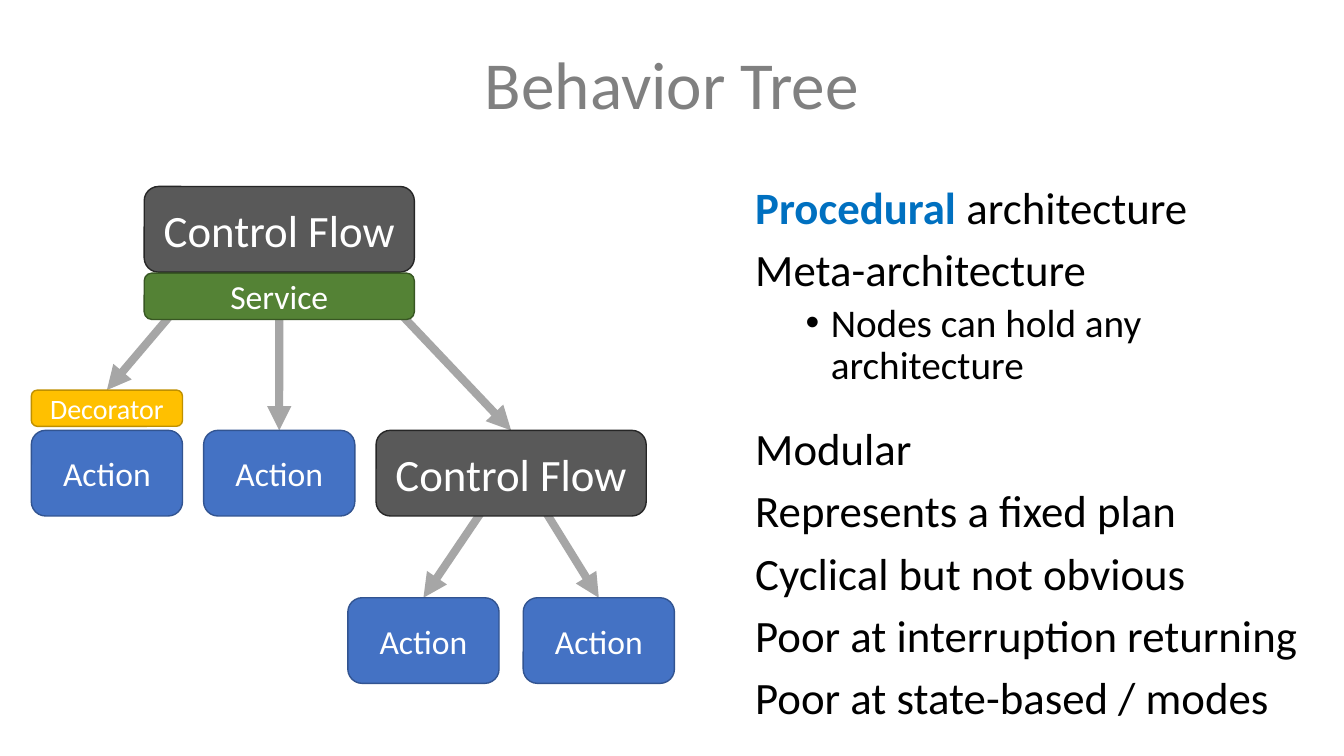
"""Build the Behavior Tree slide."""
import dataclasses

import lxml.etree
import pptx
import pptx.dml.color
import pptx.enum.shapes
import pptx.enum.text
import pptx.oxml.ns
import pptx.util

WIDE = pptx.util.Inches(13.33)
HIGH = pptx.util.Inches(7.5)
FACE = "Calibri"


@dataclasses.dataclass(frozen=True)
class Style:
    """Colours, text size and share of the slide for a kind of node."""
    fill: str
    edge: str
    size: int
    wide: float
    high: float


@dataclasses.dataclass(frozen=True)
class Node:
    """A labelled box placed in percent of the slide."""
    text: str
    style: Style
    left: float
    top: float

    @property
    def head(self) -> tuple[float, float]:
        """Return the middle of the top edge."""
        return self.left + self.style.wide / 2, self.top


@dataclasses.dataclass(frozen=True)
class Arrow:
    """A link from a point to the top of a node."""
    start: tuple[float, float]
    end: Node


@dataclasses.dataclass(frozen=True)
class Item:
    """A line of the list, with an optional bold lead."""
    text: str
    lead: str = ""
    level: int = 0
    size: int = 32
    gap: float = 10


FLOW = Style("595959", "262626", 32, 20.1, 11.33)
ACT = Style("4472C4", "325491", 24, 11.25, 11.33)
DECO = Style("FFC000", "BF9000", 20, 11.25, 4.8)
SERVE = Style("548235", "385723", 24, 20.1, 6.13)

ROW = 56.93
LOW = 79.07
ROOT = Node("Control Flow", FLOW, 10.73, 24.67)
SERVICE = Node("Service", SERVE, 10.73, 36.13)
GUARD = Node("Decorator", DECO, 2.33, 51.6)
FIRST = Node("Action", ACT, 2.33, ROW)
SECOND = Node("Action", ACT, 15.15, ROW)
BRANCH = Node("Control Flow", FLOW, 27.98, ROW)
THIRD = Node("Action", ACT, 25.88, LOW)
FOURTH = Node("Action", ACT, 38.93, LOW)
NODES = [ROOT, SERVICE, GUARD, FIRST, SECOND, BRANCH, THIRD, FOURTH]

ARROWS = [
    Arrow((20.18, 26), GUARD),
    Arrow((20.78, 36), SECOND),
    Arrow((21.53, 26), BRANCH),
    Arrow((36.83, 65.07), THIRD),
    Arrow((39.68, 65.07), FOURTH),
]

ITEMS = [
    Item(" architecture", lead="Procedural", gap=0),
    Item("Meta-architecture"),
    Item("Nodes can hold any architecture", level=1, size=28, gap=5),
    Item("Modular", gap=27.5),
    Item("Represents a fixed plan"),
    Item("Cyclical but not obvious"),
    Item("Poor at interruption returning"),
    Item("Poor at state-based / modes"),
]


def across(share: float) -> int:
    """Turn a percent of the width into a length."""
    return round(WIDE * share / 100)


def down(share: float) -> int:
    """Turn a percent of the height into a length."""
    return round(HIGH * share / 100)


def shade(code: str) -> pptx.dml.color.RGBColor:
    """Turn a hex string into a colour."""
    return pptx.dml.color.RGBColor.from_string(code)


def add(parent, tag: str, **attrs: str):
    """Append a drawing element to a parent."""
    return lxml.etree.SubElement(parent, pptx.oxml.ns.qn(tag), attrs)


def ink(font, size: float, code: str, bold: bool = False) -> None:
    """Set face, size, colour and weight of a font."""
    font.name = FACE
    font.size = pptx.util.Pt(size)
    font.bold = bold
    font.color.rgb = shade(code)


def place(shape, left: float, top: float, wide: float, high: float) -> None:
    """Move a placeholder and fix its text to the top."""
    shape.left, shape.top = across(left), down(top)
    shape.width, shape.height = across(wide), down(high)
    frame = shape.text_frame
    frame.word_wrap = True
    frame.auto_size = pptx.enum.text.MSO_AUTO_SIZE.NONE
    frame.vertical_anchor = pptx.enum.text.MSO_ANCHOR.TOP


def link(slide, arrow: Arrow) -> None:
    """Draw an arrow."""
    (left, top), (right, base) = arrow.start, arrow.end.head
    line = slide.shapes.add_connector(
        pptx.enum.shapes.MSO_CONNECTOR.STRAIGHT,
        across(left), down(top), across(right), down(base))
    line.line.color.rgb = shade("A6A6A6")
    line.line.width = pptx.util.Pt(5.75)
    add(line.line._get_or_add_ln(), "a:tailEnd", type="triangle")
    add(line._element.spPr, "a:effectLst")


def box(slide, node: Node) -> None:
    """Draw a node with its label."""
    style = node.style
    shape = slide.shapes.add_shape(
        pptx.enum.shapes.MSO_SHAPE.ROUNDED_RECTANGLE,
        across(node.left), down(node.top),
        across(style.wide), down(style.high))
    shape.shadow.inherit = False
    shape.fill.solid()
    shape.fill.fore_color.rgb = shade(style.fill)
    shape.line.color.rgb = shade(style.edge)
    shape.line.width = pptx.util.Pt(1)
    frame = shape.text_frame
    frame.word_wrap = True
    frame.vertical_anchor = pptx.enum.text.MSO_ANCHOR.MIDDLE
    para = frame.paragraphs[0]
    para.text = node.text
    para.alignment = pptx.enum.text.PP_ALIGN.CENTER
    ink(para.font, style.size, "FFFFFF")


def write(para, item: Item) -> None:
    """Write one line of the list."""
    para.level = item.level
    para.line_spacing = 0.9
    para.space_before = pptx.util.Pt(item.gap)
    props = para._p.get_or_add_pPr()
    inset = pptx.util.Inches(0.75 * item.level)
    hang = pptx.util.Inches(-0.25 * item.level)
    props.set("marL", str(inset))
    props.set("indent", str(hang))
    if item.level:
        add(props, "a:buFont", typeface="Arial")
        add(props, "a:buChar", char="•")
    else:
        add(props, "a:buNone")
    if item.lead:
        lead = para.add_run()
        lead.text = item.lead
        ink(lead.font, item.size, "0070C0", True)
        rest = para.add_run()
        rest.text = item.text
        ink(rest.font, item.size, "000000")
    else:
        para.text = item.text
        ink(para.font, item.size, "000000")


def main() -> None:
    """Build and save the deck."""
    deck = pptx.Presentation()
    deck.slide_width, deck.slide_height = WIDE, HIGH
    slide = deck.slides.add_slide(deck.slide_layouts[1])
    title, body = slide.placeholders
    place(title, 0, 4.93, 100, 12.13)
    head = title.text_frame.paragraphs[0]
    head.text = "Behavior Tree"
    head.alignment = pptx.enum.text.PP_ALIGN.CENTER
    ink(head.font, 48, "808080")
    place(body, 55.44, 23.87, 42.84, 69.33)
    frame = body.text_frame
    for spot, item in enumerate(ITEMS):
        write(frame.add_paragraph() if spot else frame.paragraphs[0], item)
    for arrow in ARROWS:
        link(slide, arrow)
    for node in NODES:
        box(slide, node)
    deck.save("out.pptx")


if __name__ == "__main__":
    main()
